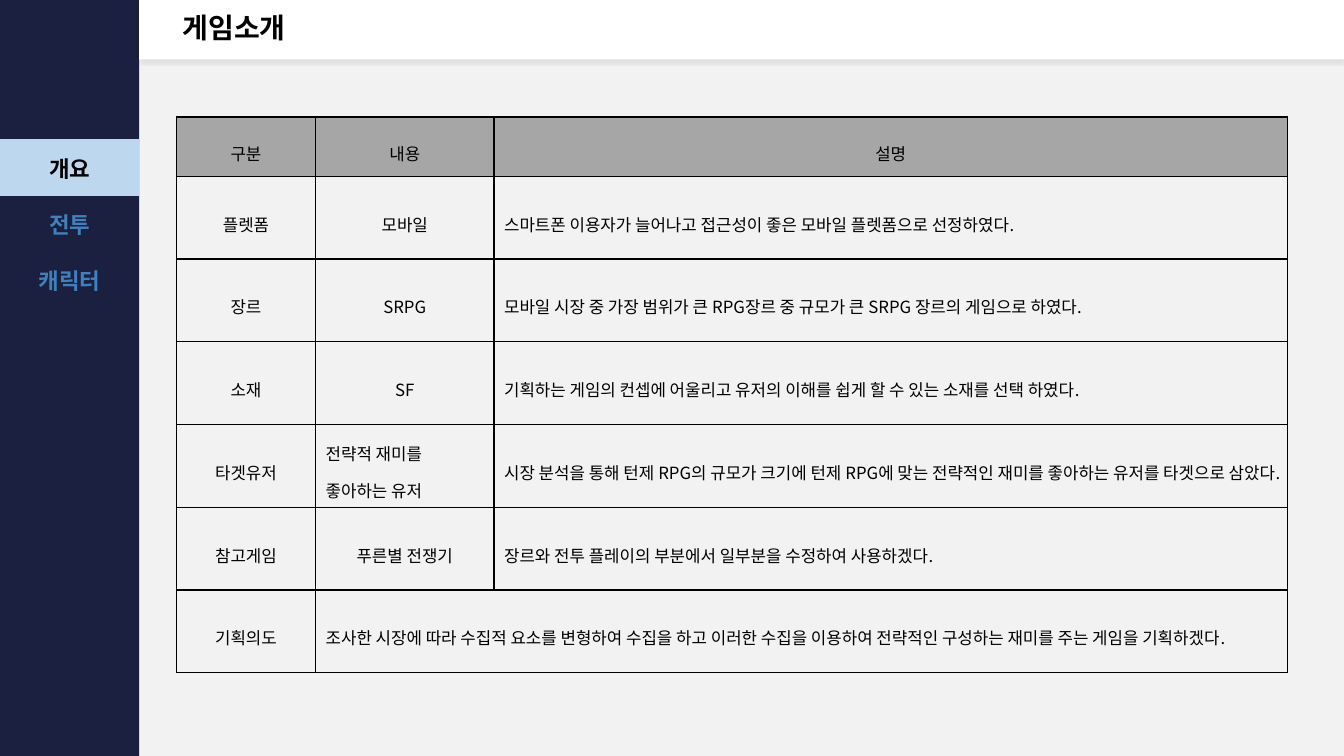
"""Build the game introduction slide with its side menu and summary table."""
import lxml.etree
import pptx
import pptx.dml.color
import pptx.enum.shapes
import pptx.enum.text
import pptx.oxml
import pptx.oxml.ns
import pptx.util

WIDTH, HEIGHT = 13.33, 7.5
SIDEBAR, HEADER = 1.38, 0.59
MENU_ROW, TOPIC_ROW = 0.56, 0.82
FONT = "Noto Sans CJK KR"
NAVY, PALE, GRAY, HEAD, BLACK = "1B2040", "BDD7EE", "F2F2F2", "A6A6A6", "000000"
NO_STYLE = "{2D5ABB26-0587-4C30-8999-92F81FD0307C}"
LEFT, CENTER = pptx.enum.text.PP_ALIGN.LEFT, pptx.enum.text.PP_ALIGN.CENTER
MIDDLE = pptx.enum.text.MSO_ANCHOR.MIDDLE

MENU = [("개요", BLACK, PALE), ("전투", "4080BB", NAVY), ("캐릭터", "4080BB", NAVY), ("", BLACK, NAVY)]
TOPICS = [
    ("구분", "내용", "설명"),
    ("플렛폼", "모바일", "스마트폰 이용자가 늘어나고 접근성이 좋은 모바일 플렛폼으로 선정하였다."),
    ("장르", "SRPG", "모바일 시장 중 가장 범위가 큰 RPG장르 중 규모가 큰 SRPG 장르의 게임으로 하였다."),
    ("소재", "SF", "기획하는 게임의 컨셉에 어울리고 유저의 이해를 쉽게 할 수 있는 소재를 선택 하였다."),
    ("타겟유저", "전략적 재미를 \n좋아하는 유저",
     "시장 분석을 통해 턴제 RPG의 규모가 크기에 턴제 RPG에 맞는 전략적인 재미를 좋아하는 유저를 타겟으로 삼았다."),
    ("참고게임", "푸른별 전쟁기", "장르와 전투 플레이의 부분에서 일부분을 수정하여 사용하겠다."),
    ("기획의도", "조사한 시장에 따라 수집적 요소를 변형하여 수집을 하고 이러한 수집을 이용하여 "
     "전략적인 구성하는 재미를 주는 게임을 기획하겠다.", ""),
]


def color(code):
    """Turn a hex string into a colour."""
    return pptx.dml.color.RGBColor.from_string(code)


def inches(*lengths):
    """Turn numbers of inches into lengths."""
    return [pptx.util.Inches(length) for length in lengths]


def paint(item, code):
    """Fill a shape, cell or background with one colour."""
    item.fill.solid()
    item.fill.fore_color.rgb = color(code)


def write(frame, text, size, code=BLACK, bold=False, align=LEFT, spacing=1.0, font=FONT):
    """Write text in one paragraph, with a line break at each newline."""
    para = frame.paragraphs[0]
    para.alignment, para.line_spacing = align, spacing
    for number, line in enumerate(text.split("\n")):
        if number:
            para.add_line_break()
        span = para.add_run()
        span.text = line
        span.font.size, span.font.bold, span.font.name = pptx.util.Pt(size), bold, font
        span.font.color.rgb = color(code)
        east = lxml.etree.SubElement(span.font._element, pptx.oxml.ns.qn("a:ea"))
        east.set("typeface", FONT)


def add_band(page, code, *place):
    """Add a plain filled rectangle."""
    band = page.shapes.add_shape(pptx.enum.shapes.MSO_SHAPE.RECTANGLE, *inches(*place))
    band.shadow.inherit = False
    band.line.fill.background()
    paint(band, code)
    return band


def add_soft_shadow(band):
    """Cast a faint shadow below a band."""
    effects = band.element.spPr.find(pptx.oxml.ns.qn("a:effectLst"))
    effects.append(pptx.oxml.parse_xml(
        f'<a:outerShdw {pptx.oxml.ns.nsdecls("a")} blurRad="25400" dist="25400" dir="5400000" '
        f'algn="t" rotWithShape="0"><a:srgbClr val="{BLACK}"><a:alpha val="8000"/>'
        '</a:srgbClr></a:outerShdw>'))


def add_grid(page, left, top, columns, rows):
    """Add an unstyled table with the given column widths and row heights."""
    frame = page.shapes.add_table(
        len(rows), len(columns), *inches(left, top, sum(columns), sum(rows)))
    grid = frame.table
    grid.first_row = grid.horz_banding = False
    grid._tbl.tblPr.find(pptx.oxml.ns.qn("a:tableStyleId")).text = NO_STYLE
    for column, width in zip(grid.columns, inches(*columns)):
        column.width = width
    for row, height in zip(grid.rows, inches(*rows)):
        row.height = height
    return grid


def outline(cell):
    """Draw a thin black border on all four sides of a cell."""
    properties = cell._tc.get_or_add_tcPr()
    for side in ("lnL", "lnR", "lnT", "lnB"):
        properties.append(pptx.oxml.parse_xml(
            f'<a:{side} {pptx.oxml.ns.nsdecls("a")} w="12700"><a:solidFill>'
            f'<a:srgbClr val="{BLACK}"/></a:solidFill></a:{side}>'))


def add_menu(page):
    """Add the side menu with its first entry highlighted."""
    grid = add_grid(page, 0, SIDEBAR, [SIDEBAR], [MENU_ROW] * len(MENU))
    for row, (label, ink, back) in enumerate(MENU):
        cell = grid.cell(row, 0)
        cell.vertical_anchor = MIDDLE
        paint(cell, back)
        if label:
            write(cell.text_frame, label, 16, ink, True, CENTER)


def add_topics(page):
    """Add the table that sums up the game."""
    rows = [HEADER] + [TOPIC_ROW] * (len(TOPICS) - 1)
    grid = add_grid(page, 1.75, 1.16, [SIDEBAR, 1.77, 7.87], rows)
    grid.cell(len(rows) - 1, 1).merge(grid.cell(len(rows) - 1, 2))
    for row, texts in enumerate(TOPICS):
        for column, text in enumerate(texts):
            cell = grid.cell(row, column)
            cell.vertical_anchor = MIDDLE
            outline(cell)
            paint(cell, GRAY if row else HEAD)
            long = column == 2 or "\n" in text or cell.is_merge_origin
            if text:
                write(cell.text_frame, text, 12, align=LEFT if row and long else CENTER, spacing=1.5)


def add_title(page, text):
    """Place the title on top of the header band."""
    title = page.shapes.title
    title.left, title.top, title.width, title.height = inches(1.71, 0, 10.09, HEADER)
    title.text_frame.vertical_anchor = MIDDLE
    write(title.text_frame, text, 20, bold=True, spacing=0.9, font="Arial")
    title.element.getparent().append(title.element)


def main():
    """Build and save the deck."""
    deck = pptx.Presentation()
    deck.slide_width, deck.slide_height = inches(WIDTH, HEIGHT)
    page = deck.slides.add_slide(deck.slide_layouts.get_by_name("Title Only"))
    paint(page.background, GRAY)
    add_band(page, NAVY, 0, 0, SIDEBAR, HEIGHT)
    add_soft_shadow(add_band(page, "FFFFFF", SIDEBAR, 0, WIDTH - SIDEBAR, HEADER))
    add_menu(page)
    add_topics(page)
    add_title(page, "게임소개")
    deck.save("out.pptx")


if __name__ == "__main__":
    main()
